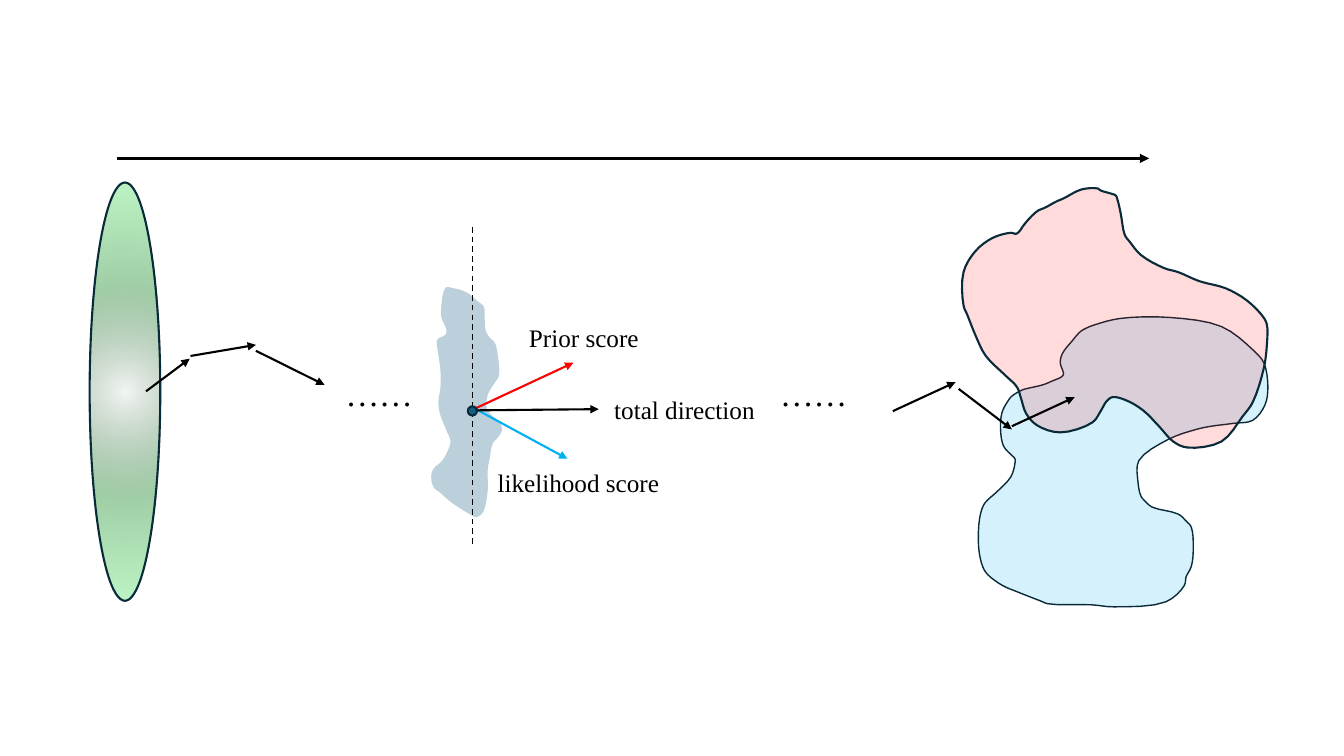
from itertools import accumulate

from lxml import etree
from pptx import Presentation
from pptx import util as u
from pptx.dml import color
from pptx.enum import dml, shapes
from pptx.oxml import ns, parse_xml

# Palette and type
INK, NAVY, TEAL, SKY, RED = "000000", "092A39", "156082", "00B0F0", "FF0000"
PALE, LEAF, GREY = "BEF4C5", "A0CEA6", "719175"
FONT = "Times New Roman"

# Outlines are lists of (x, y) landmarks counted in UNIT; FINE parts a unit further
UNIT, FINE, STEPS = u.Cm(0.0254), 100, 4

LIKELY = [
    (1055, 372), (1044, 378), (1034, 382), (1021, 385), (1014, 387), (1004, 393),
    (1000, 398), (994, 410), (993, 430), (996, 443), (1003, 451), (1007, 455), (1007, 460),
    (1003, 473), (989, 488), (980, 496), (976, 501), (972, 514), (971, 543), (975, 562),
    (980, 570), (995, 581), (1009, 587), (1032, 596), (1040, 599), (1083, 600),
    (1105, 602), (1157, 597), (1175, 581), (1177, 572), (1182, 562), (1184, 545),
    (1182, 523), (1177, 517), (1169, 510), (1143, 503), (1136, 497), (1132, 492), (1129, 477),
    (1130, 457), (1159, 436), (1187, 426), (1201, 423), (1224, 420), (1243, 417), (1255, 402),
    (1258, 384), (1254, 360), (1243, 347), (1212, 324), (1161, 315), (1111, 316),
    (1087, 322), (1079, 325), (1072, 329), (1064, 338), (1054, 351), (1052, 360),
]
PRIOR = [
    (1008, 232), (1003, 231), (985, 236), (968, 249), (956, 270), (956, 303), (960, 313),
    (968, 333), (978, 353), (997, 372), (1009, 384), (1013, 395),
    (1018, 410), (1029, 422), (1052, 429), (1084, 419), (1092, 408), (1098, 398), (1104, 394),
    (1117, 397), (1134, 407), (1150, 423), (1164, 438), (1178, 444), (1212, 438),
    (1233, 413), (1243, 399), (1254, 365), (1257, 342), (1257, 322), (1253, 314),
    (1237, 298), (1216, 286), (1190, 279), (1169, 270), (1155, 266), (1132, 253), (1121, 240),
    (1116, 233), (1112, 212), (1109, 199), (1107, 194), (1102, 192), (1092, 189), (1089, 187),
    (1073, 188), (1055, 197), (1048, 200), (1037, 206), (1030, 209), (1024, 214),
    (1016, 223), (1011, 230),
]
CLOUD = [
    (443, 285), (450, 286), (458, 288), (466, 292), (474, 299), (480, 304), (481, 317),
    (482, 328), (486, 335), (491, 340), (494, 353), (495, 373), (490, 381), (484, 392),
    (483, 405), (488, 412), (496, 419), (498, 427), (494, 434), (489, 440), (486, 454),
    (484, 466), (484, 486), (481, 504), (478, 510), (472, 513), (466, 510), (456, 504),
    (446, 497), (437, 489), (430, 483), (428, 471), (431, 464), (438, 458), (443, 450),
    (447, 438), (443, 427), (437, 412), (435, 399), (437, 385), (437, 367), (435, 352),
    (434, 337), (442, 332), (443, 327), (438, 315), (438, 303), (440, 290),
]

# Lines: (x1, y1, x2, y2) in centimetres
AXIS = (2.95, 3.99, 28.96, 3.99)
CUT = (11.91, 5.72, 11.91, 13.72)
SCORES = [
    (RED, (11.94, 10.31, 14.45, 9.14)),
    (SKY, (11.99, 10.31, 14.3, 11.56)),
    (INK, (11.99, 10.34, 15.09, 10.31)),
]
FIRST = [(3.68, 9.86, 4.78, 9.04), (4.8, 8.97, 6.45, 8.69), (6.45, 8.84, 8.18, 9.7)]
LAST = [(22.5, 10.36, 24.08, 9.63), (24.16, 9.8, 25.5, 10.82), (25.5, 10.74, 27.08, 10.01)]

# Ovals and labels: left, top, width, height in centimetres
NOISE = (2.26, 4.6, 1.78, 10.54)
SAMPLE = (11.79, 10.24, 0.23, 0.23)
LABELS = [
    ("Prior score", 18, (13.08, 8, 3.38, 1.02)),
    ("likelihood score", 18, (12.29, 11.65, 4.65, 1.02)),
    ("total direction", 18, (15.23, 9.82, 4.65, 1.02)),
    ("……", 24, (8.46, 9.27, 2.21, 1.27)),
    ("……", 24, (19.41, 9.27, 2.21, 1.27)),
]


# Helpers
def rgb(hexa):
    return color.RGBColor.from_string(hexa)


def style(obj, vals):
    for name, val in vals.items():
        setattr(obj, name, val)


def blend(a, b, start, end, t):
    """Straight mix: a at time start, b at time end."""
    return (a * (end - t) + b * (t - start)) / (end - start)


def arc(quad):
    """Points on the curve from the second to the third of four landmarks."""
    gaps = [abs(b - a) ** 0.5 for a, b in zip(quad, quad[1:])]
    knots = list(accumulate(gaps, initial=0))
    for n in range(STEPS):
        t = knots[1] + gaps[1] * n / STEPS
        row = quad
        for span in (1, 2):
            row = [blend(row[i], row[i + 1], knots[i], knots[i + span], t)
                   for i in range(len(row) - 1)]
        yield blend(*row, knots[1], knots[2], t)


def smooth(marks):
    """Closed centripetal Catmull-Rom curve through all landmarks."""
    spots = [complex(x, y) for x, y in marks]
    count = len(spots)
    quads = ([spots[(i + k) % count] for k in (-1, 0, 1, 2)] for i in range(count))
    return [(p.real * FINE, p.imag * FINE) for quad in quads for p in arc(quad)]


def paint(shape, fill, alpha=100, width=1.5):
    """Flat fill of some opacity, with a navy edge unless width is 0."""
    shape.shadow.inherit = False
    shape.fill.solid()
    shape.fill.fore_color.rgb = rgb(fill)
    tint = shape._element.spPr.find(".//" + ns.qn("a:srgbClr"))
    etree.SubElement(tint, ns.qn("a:alpha"), val=str(alpha * 1000))
    if width:
        shape.line.color.rgb = rgb(NAVY)
        shape.line.width = u.Pt(width)
    else:
        shape.line.fill.background()


def blob(slide, marks, fill, alpha, width):
    start, *rest = smooth(marks)
    pen = slide.shapes.build_freeform(*start, scale=UNIT / FINE)
    pen.add_line_segments(rest, close=True)
    paint(pen.convert_to_shape(), fill, alpha, width)


def oval(slide, box, fill):
    shape = slide.shapes.add_shape(shapes.MSO_SHAPE.OVAL, *map(u.Cm, box))
    paint(shape, fill)
    return shape


def shade(shape, stops):
    """Radial gradient from (place, colour, opacity) stops, all in percent."""
    marks = "".join(
        f'<a:gs pos="{at * 1000}"><a:srgbClr val="{tone}"><a:alpha val="{alpha * 1000}"/>'
        f'</a:srgbClr></a:gs>' for at, tone, alpha in stops)
    grad = parse_xml(
        f'<a:gradFill {ns.nsdecls("a")} rotWithShape="1"><a:gsLst>{marks}</a:gsLst>'
        '<a:path path="circle"><a:fillToRect l="50000" t="50000" r="50000" b="50000"/>'
        '</a:path></a:gradFill>')
    props = shape._element.spPr
    props.replace(props.find(ns.qn("a:solidFill")), grad)


def line(slide, ends, tone=INK, width=1.5):
    link = slide.shapes.add_connector(shapes.MSO_CONNECTOR.STRAIGHT, *map(u.Cm, ends))
    link.line.color.rgb = rgb(tone)
    link.line.width = u.Pt(width)
    etree.SubElement(link._element.spPr, ns.qn("a:effectLst"))
    return link.line


def arrow(slide, ends, tone=INK, width=1.5):
    stroke = line(slide, ends, tone, width)
    etree.SubElement(stroke._get_or_add_ln(), ns.qn("a:tailEnd"), type="triangle")


def label(slide, words, size, box):
    frame = slide.shapes.add_textbox(*map(u.Cm, box)).text_frame
    frame.word_wrap = True
    run = frame.paragraphs[0].add_run()
    run.text = words
    style(run.font, {"name": FONT, "size": u.Pt(size)})
    run.font.color.rgb = rgb(INK)


def main():
    deck = Presentation()
    style(deck, {"slide_width": u.Cm(33.87), "slide_height": u.Cm(19.05)})
    slide = deck.slides.add_slide(deck.slide_layouts[6])

    # Regions: target pair on the right, cloud in the middle
    blob(slide, LIKELY, SKY, alpha=17, width=1)
    blob(slide, PRIOR, RED, alpha=14, width=1.5)
    blob(slide, CLOUD, TEAL, alpha=29, width=0)

    # Starting noise
    shade(oval(slide, NOISE, LEAF), [(0, GREY, 8), (50, LEAF, 100), (100, PALE, 100)])

    # Time axis, cut, scores and sampling steps
    arrow(slide, AXIS, width=2.25)
    line(slide, CUT, width=1).dash_style = dml.MSO_LINE.DASH
    for tone, ends in SCORES:
        arrow(slide, ends, tone)
    for ends in FIRST + LAST:
        arrow(slide, ends)

    # Current sample and wording
    oval(slide, SAMPLE, TEAL)
    for words, size, box in LABELS:
        label(slide, words, size, box)

    deck.save("out.pptx")


if __name__ == "__main__":
    main()
